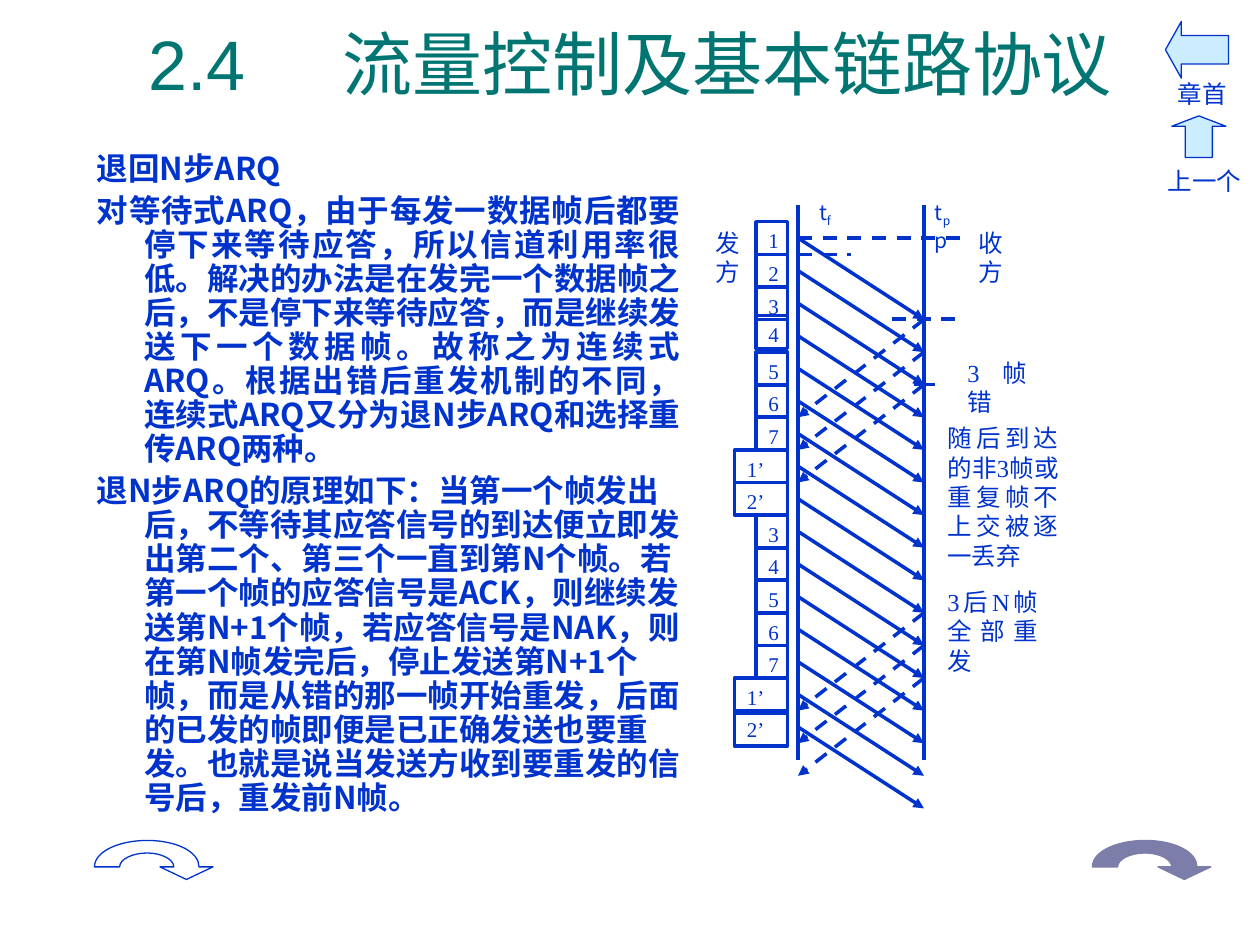
from dataclasses import dataclass

from lxml import etree
from pptx import Presentation
from pptx import util as u
from pptx.dml.color import RGBColor
from pptx.enum import dml, shapes, text
from pptx.oxml import ns


@dataclass(frozen=True)
class Theme:
    ink: str = "0033CC"
    teal: str = "007572"
    sky: str = "CCECFF"
    white: str = "FFFFFF"
    mauve: str = "7D7DA9"
    serif: str = "Times New Roman"
    sans: str = "Arial"
    cjk: str = "Noto Sans CJK SC"
    title_size: int = 40
    body_size: int = 18
    label_size: int = 14
    frame_size: int = 12
    thin: float = 0.75
    thick: float = 2


THEME = Theme()
ALIGN = text.PP_ALIGN

TITLE = "2.4\t流量控制及基本链路协议"
BODY = [
    (ALIGN.JUSTIFY, "退回N步ARQ"),
    (ALIGN.JUSTIFY, "对等待式ARQ，由于每发一数据帧后都要停下来等待应答，所以信道利用率很低。"
     "解决的办法是在发完一个数据帧之后，不是停下来等待应答，而是继续发送下一个数据帧。"
     "故称之为连续式ARQ。根据出错后重发机制的不同，连续式ARQ又分为退N步ARQ和选择重传ARQ两种。"),
    (ALIGN.LEFT, "退N步ARQ的原理如下：当第一个帧发出后，不等待其应答信号的到达便立即发出第二个、"
     "第三个一直到第N个帧。若第一个帧的应答信号是ACK，则继续发送第N+1个帧，"
     "若应答信号是NAK，则在第N帧发完后，停止发送第N+1个帧，而是从错的那一帧开始重发，"
     "后面的已发的帧即便是已正确发送也要重发。也就是说当发送方收到要重发的信号后，重发前N帧。"),
]
NAVIGATION = [  # arrow, its box, second adjustment, label, label box, wraps
    ("UP_ARROW", (9.3, 0.92, 0.43, 0.33), 0.25, "上一个", (9.17, 1.27, 0.83, 0.34), True),
    ("LEFT_ARROW", (9.25, 0.17, 0.5, 0.45), 0.28, "章首", (9.25, 0.58, 0.59, 0.34), False),
]
TURN_ARROWS = [(0.75, THEME.white, THEME.ink), (8.67, THEME.mauve, THEME.mauve)]
TURN_TOP = 6.67
TURN_OUTLINE = [  # one point makes a straight side, three make a curve
    [(0.63, 0.21)],
    [(0.63, 0.15), (0.53, 0.1), (0.42, 0.1)],
    [(0.3, 0.1), (0.2, 0.15), (0.2, 0.21)],
    [(0, 0.21)],
    [(0, 0.09), (0.19, 0), (0.42, 0)],
    [(0.65, 0), (0.83, 0.09), (0.83, 0.21)],
    [(0.94, 0.21)],
    [(0.73, 0.31)],
    [(0.52, 0.21)],
]
TIME_LABELS = [  # left, runs of (text, baseline in percent)
    (6.5, [("t", 0), ("f", -25)]),
    (7.42, [("t", 0), ("p", -25), ("p", 0)]),
]
NOTES = [
    ("发方", (5.58, 1.76, 0.33, 0.78)),
    ("收方", (7.67, 1.76, 0.33, 0.78)),
    ("3 帧错", (7.58, 2.79, 0.67, 0.52)),
    ("随后到达的非3帧或重复帧不上交被逐一丢弃", (7.42, 3.31, 1.08, 1.3)),
    ("3后N帧全部重发", (7.42, 4.61, 0.92, 0.78)),
]
FRAMES = ["1", "2", "3", "4", "5", "6", "7", "1’", "2’"] + ["3", "4", "5", "6", "7", "1’", "2’"]
RAISED_FRAME = 3        # this box sits slightly above its time slot
ANSWERED_FRAMES = [0, 1, 2, 9, 10, 11]
SENDER = 19 / 3
RECEIVER = SENDER + 1
MARKS = [  # x1, x2, y, dashed
    (SENDER, 7.67, 1.89, True),
    (7.08, 7.58, 2.53, True),
    (SENDER, 6.75, 2.02, True),
    (7.25, 7.42, 3.05, False),
]

AXIS_TOP, AXIS_BOTTOM = 1.63, 6.03
FIRST_FRAME, SLOT = 1.76, 3.88 / 15
FRAME_RIGHT = 6.25
TRAVEL = 2.5 * SLOT     # propagation delay
ANSWER_TRAVEL = 3 * SLOT


def inches(values):
    return [u.Inches(value) for value in values]


def paint(shape, fill, line, width):
    shape.shadow.inherit = False
    if fill:
        shape.fill.solid()
        shape.fill.fore_color.rgb = RGBColor.from_string(fill)
    else:
        shape.fill.background()
    shape.line.color.rgb = RGBColor.from_string(line)
    shape.line.width = u.Pt(width)


def add_span(para, words, size, font, color=THEME.ink, bold=False, baseline=0):
    span = para.add_run()
    span.text = words
    span.font.size = u.Pt(size)
    span.font.name = font
    span.font.bold = bold
    span.font.color.rgb = RGBColor.from_string(color)
    properties = span._r.get_or_add_rPr()
    if baseline:
        properties.set("baseline", str(baseline * 1000))
    etree.SubElement(properties, ns.qn("a:ea")).set("typeface", THEME.cjk)


def prepare(shape, margins=(0.1, 0.05, 0.1, 0.05), wrap=True, anchor=text.MSO_ANCHOR.TOP):
    """Set the frame's margins, wrapping and anchor, and return the frame."""
    frame = shape.text_frame
    frame.margin_left, frame.margin_top, frame.margin_right, frame.margin_bottom = inches(margins)
    frame.word_wrap = wrap
    frame.vertical_anchor = anchor
    return frame


def add_label(page, words, place, align=ALIGN.JUSTIFY, wrap=True):
    para = prepare(page.shapes.add_textbox(*inches(place)), wrap=wrap).paragraphs[0]
    para.alignment = align
    add_span(para, words, THEME.label_size, THEME.serif)


def add_line(page, start, end, dashed=False, arrow=False):
    line = page.shapes.add_connector(shapes.MSO_CONNECTOR.STRAIGHT, *inches(start + end))
    line.line.color.rgb = RGBColor.from_string(THEME.ink)
    line.line.width = u.Pt(THEME.thick)
    if dashed:
        line.line.dash_style = dml.MSO_LINE.DASH
    if arrow:
        etree.SubElement(line.line._get_or_add_ln(), ns.qn("a:tailEnd")).set("type", "triangle")
    etree.SubElement(line._element.spPr, ns.qn("a:effectLst"))


def add_title(page):
    box = page.shapes.add_textbox(*inches((0.75, 0.16, 8.5, 0.67)))
    para = prepare(box, (0.43, 0.05, 0.1, 0.05), anchor=text.MSO_ANCHOR.MIDDLE).paragraphs[0]
    stops = etree.SubElement(para._p.get_or_add_pPr(), ns.qn("a:tabLst"))
    etree.SubElement(stops, ns.qn("a:tab"), pos=str(u.Inches(1.54)), algn="l")
    add_span(para, TITLE, THEME.title_size, THEME.sans, THEME.teal)


def add_body(page):
    frame = prepare(page.shapes.add_textbox(*inches((0.67, 1.17, 4.83, 5.42))))
    for index, (align, words) in enumerate(BODY):
        para = frame.add_paragraph() if index else frame.paragraphs[0]
        para.alignment = align
        para.line_spacing = 0.9
        para.space_before = u.Pt(4.5 if index else 0)
        properties = para._p.get_or_add_pPr()
        properties.set("marL", str(u.Pt(27)))
        properties.set("indent", str(-u.Pt(27)))
        properties.set("hangingPunct", "0")
        add_span(para, words, THEME.body_size, THEME.cjk, bold=True)


def add_navigation(page):
    for kind, place, head, words, label_place, wrap in NAVIGATION:
        arrow = page.shapes.add_shape(getattr(shapes.MSO_SHAPE, kind), *inches(place))
        arrow.adjustments[1] = head
        paint(arrow, THEME.sky, THEME.ink, THEME.thin)
        add_label(page, words, label_place, ALIGN.LEFT, wrap)


def add_turn_arrow(page, left, fill, line):
    """Draw the outline with straight sides, then join each curve's three into one."""
    points = [inches((left + x, TURN_TOP + y)) for side in TURN_OUTLINE for x, y in side]
    builder = page.shapes.build_freeform(*points[0])
    builder.add_line_segments(points[1:], close=True)
    shape = builder.convert_to_shape()
    segments = iter(list(shape._element.iter(ns.qn("a:lnTo"))))
    for side in TURN_OUTLINE[1:]:
        members = [next(segments) for _ in side]
        if len(members) == 3:
            curve = etree.Element(ns.qn("a:cubicBezTo"))
            members[0].addprevious(curve)
            for member in members:
                curve.append(member[0])
                member.getparent().remove(member)
    paint(shape, fill, line, THEME.thin)


def add_frames(page):
    for index, words in enumerate(FRAMES):
        top = FIRST_FRAME + index * SLOT - (0.03 if index == RAISED_FRAME else 0)
        width = 0.42 if len(words) > 1 else 0.25
        height = 0.28 if index >= len(FRAMES) - 2 else 0.26
        box = page.shapes.add_shape(shapes.MSO_SHAPE.RECTANGLE,
                                    *inches((FRAME_RIGHT - width, top, width, height)))
        paint(box, None, THEME.ink, THEME.thick)
        para = prepare(box).paragraphs[0]
        para.alignment = ALIGN.JUSTIFY
        add_span(para, words, THEME.frame_size, THEME.serif)

        sent = FIRST_FRAME + (index + 0.5) * SLOT
        arrival = sent + TRAVEL
        add_line(page, (SENDER, sent), (RECEIVER, arrival), arrow=True)
        if index in ANSWERED_FRAMES:
            add_line(page, (RECEIVER, arrival), (SENDER, arrival + ANSWER_TRAVEL),
                     dashed=True, arrow=True)


def add_timeline(page):
    for left, spans in TIME_LABELS:
        box = page.shapes.add_textbox(*inches((left, 1.5, 0.25, 0.39)))
        para = prepare(box, (0, 0.08, 0.1, 0)).paragraphs[0]
        para.alignment = ALIGN.JUSTIFY
        for words, baseline in spans:
            add_span(para, words, THEME.frame_size, THEME.cjk, baseline=baseline)
    for x in (SENDER, RECEIVER):
        add_line(page, (x, AXIS_TOP), (x, AXIS_BOTTOM))
    add_frames(page)
    for x1, x2, y, dashed in MARKS:
        add_line(page, (x1, y), (x2, y), dashed)
    for words, place in NOTES:
        add_label(page, words, place)


def main():
    deck = Presentation()
    deck.slide_width, deck.slide_height = inches((10, 7.5))
    page = deck.slides.add_slide(deck.slide_layouts[6])
    add_title(page)
    add_navigation(page)
    for left, fill, line in TURN_ARROWS:
        add_turn_arrow(page, left, fill, line)
    add_body(page)
    add_timeline(page)
    deck.save("out.pptx")


if __name__ == "__main__":
    main()
